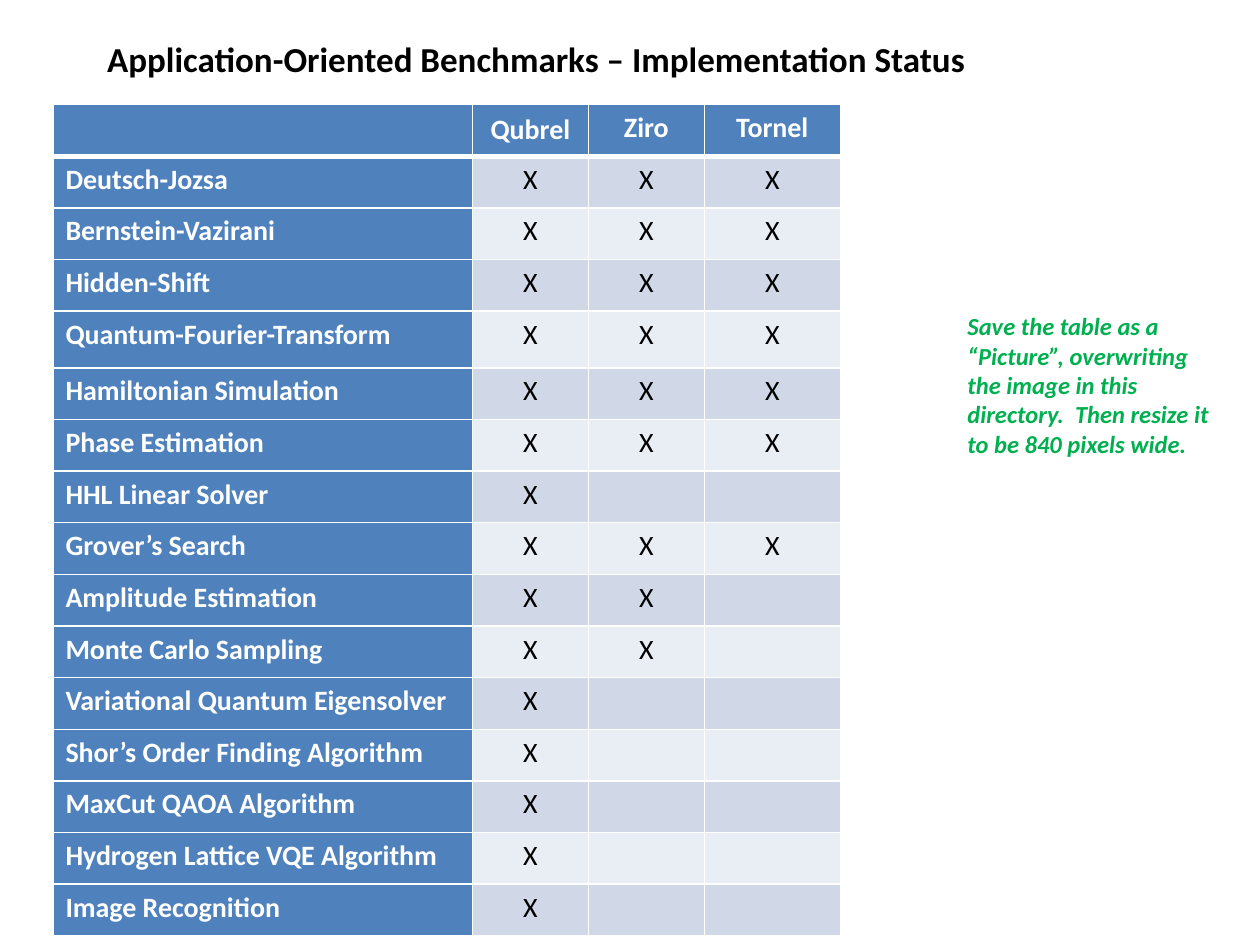
from dataclasses import dataclass

import lxml.etree
import pptx
import pptx.dml.color
import pptx.enum.text
import pptx.oxml.ns
import pptx.util

Inches = pptx.util.Inches
Align = pptx.enum.text.PP_ALIGN
Anchor = pptx.enum.text.MSO_ANCHOR


@dataclass(frozen=True)
class Theme:
    font: str = "Calibri"
    header: str = "4F81BD"
    bands: tuple[str, str] = ("D0D8E8", "E9EDF4")
    white: str = "FFFFFF"
    black: str = "000000"
    note: str = "00B050"
    title_size: int = 20
    table_size: int = 16
    note_size: int = 14
    rule: int = 1
    header_rule: int = 3


@dataclass(frozen=True)
class Benchmark:
    name: str
    implementations: int  # how many frameworks have it, counted from the left
    height: float = 0.41


THEME = Theme()
FRAMEWORKS = ("Qubrel", "Ziro", "Tornel")
COLUMN_WIDTHS = (3.33, 0.92, 0.92, 1.08)
HEADER_HEIGHT = 0.41
BENCHMARKS = (
    Benchmark("Deutsch-Jozsa", 3),
    Benchmark("Bernstein-Vazirani", 3),
    Benchmark("Hidden-Shift", 3),
    Benchmark("Quantum-Fourier-Transform", 3, height=0.45),
    Benchmark("Hamiltonian Simulation", 3),
    Benchmark("Phase Estimation", 3),
    Benchmark("HHL Linear Solver", 1),
    Benchmark("Grover’s Search", 3),
    Benchmark("Amplitude Estimation", 2),
    Benchmark("Monte Carlo Sampling", 2),
    Benchmark("Variational Quantum Eigensolver", 1),
    Benchmark("Shor’s Order Finding Algorithm", 1),
    Benchmark("MaxCut QAOA Algorithm", 1),
    Benchmark("Hydrogen Lattice VQE Algorithm", 1),
    Benchmark("Image Recognition", 1),
)


def write(frame, text: str, *, size: int, color: str, bold: bool = False,
          italic: bool = False, align=Align.LEFT) -> None:
    paragraph = frame.paragraphs[0]
    paragraph.alignment = align
    run = paragraph.add_run()
    run.text = text
    run.font.name = THEME.font
    run.font.size = pptx.util.Pt(size)
    run.font.bold = bold
    run.font.italic = italic
    run.font.color.rgb = pptx.dml.color.RGBColor.from_string(color)


def set_borders(cell, bottom: int) -> None:
    qn = pptx.oxml.ns.qn
    properties = cell._tc.get_or_add_tcPr()
    widths = {"L": THEME.rule, "R": THEME.rule, "T": THEME.rule, "B": bottom}
    for side, width in widths.items():
        line = lxml.etree.SubElement(
            properties, qn(f"a:ln{side}"), w=str(pptx.util.Pt(width)))
        fill = lxml.etree.SubElement(line, qn("a:solidFill"))
        lxml.etree.SubElement(fill, qn("a:srgbClr"), val=THEME.white)


def draw_cell(cell, text: str, *, fill: str, color: str, bold: bool,
              align=Align.CENTER, bottom: int = THEME.rule) -> None:
    set_borders(cell, bottom)
    cell.fill.solid()
    cell.fill.fore_color.rgb = pptx.dml.color.RGBColor.from_string(fill)
    if text:
        write(cell.text_frame, text, size=THEME.table_size, color=color,
              bold=bold, align=align)


def draw_status_table(slide) -> None:
    heights = (HEADER_HEIGHT, *(benchmark.height for benchmark in BENCHMARKS))
    status = slide.shapes.add_table(
        len(heights), len(COLUMN_WIDTHS), Inches(0.42), Inches(0.83),
        Inches(sum(COLUMN_WIDTHS)), Inches(sum(heights))).table
    status.first_col = True
    for column, width in zip(status.columns, COLUMN_WIDTHS):
        column.width = Inches(width)
    for row, height in zip(status.rows, heights):
        row.height = Inches(height)

    for column, heading in enumerate(("", *FRAMEWORKS)):
        draw_cell(status.cell(0, column), heading, fill=THEME.header,
                  color=THEME.white, bold=True, bottom=THEME.header_rule)
    status.cell(0, 1).vertical_anchor = Anchor.MIDDLE

    for row, benchmark in enumerate(BENCHMARKS, start=1):
        draw_cell(status.cell(row, 0), benchmark.name, fill=THEME.header,
                  color=THEME.white, bold=True, align=Align.LEFT)
        for column in range(1, len(COLUMN_WIDTHS)):
            mark = "X" if column <= benchmark.implementations else ""
            draw_cell(status.cell(row, column), mark,
                      fill=THEME.bands[(row - 1) % 2],
                      color=THEME.black, bold=False)


def draw_title(slide) -> None:
    title = slide.shapes.title
    title.left, title.top = Inches(0.75), Inches(0.25)
    title.width, title.height = Inches(7.05), Inches(0.44)
    title.text_frame.vertical_anchor = Anchor.TOP
    write(title.text_frame,
          "Application-Oriented Benchmarks – Implementation Status",
          size=THEME.title_size, color=THEME.black, bold=True)


def draw_note(slide) -> None:
    note = slide.shapes.add_textbox(
        Inches(7.58), Inches(2.42), Inches(2.17), Inches(1.28))
    note.text_frame.word_wrap = True
    write(note.text_frame,
          "Save the table as a “Picture”, overwriting the image in this "
          "directory.  Then resize it to be 840 pixels wide.",
          size=THEME.note_size, color=THEME.note, bold=True, italic=True)


def main() -> None:
    presentation = pptx.Presentation()
    presentation.slide_width = Inches(10)
    presentation.slide_height = Inches(7.5)
    title_only = presentation.slide_layouts.get_by_name("Title Only")
    slide = presentation.slides.add_slide(title_only)
    draw_status_table(slide)
    draw_title(slide)
    draw_note(slide)
    presentation.save("out.pptx")


if __name__ == "__main__":
    main()
